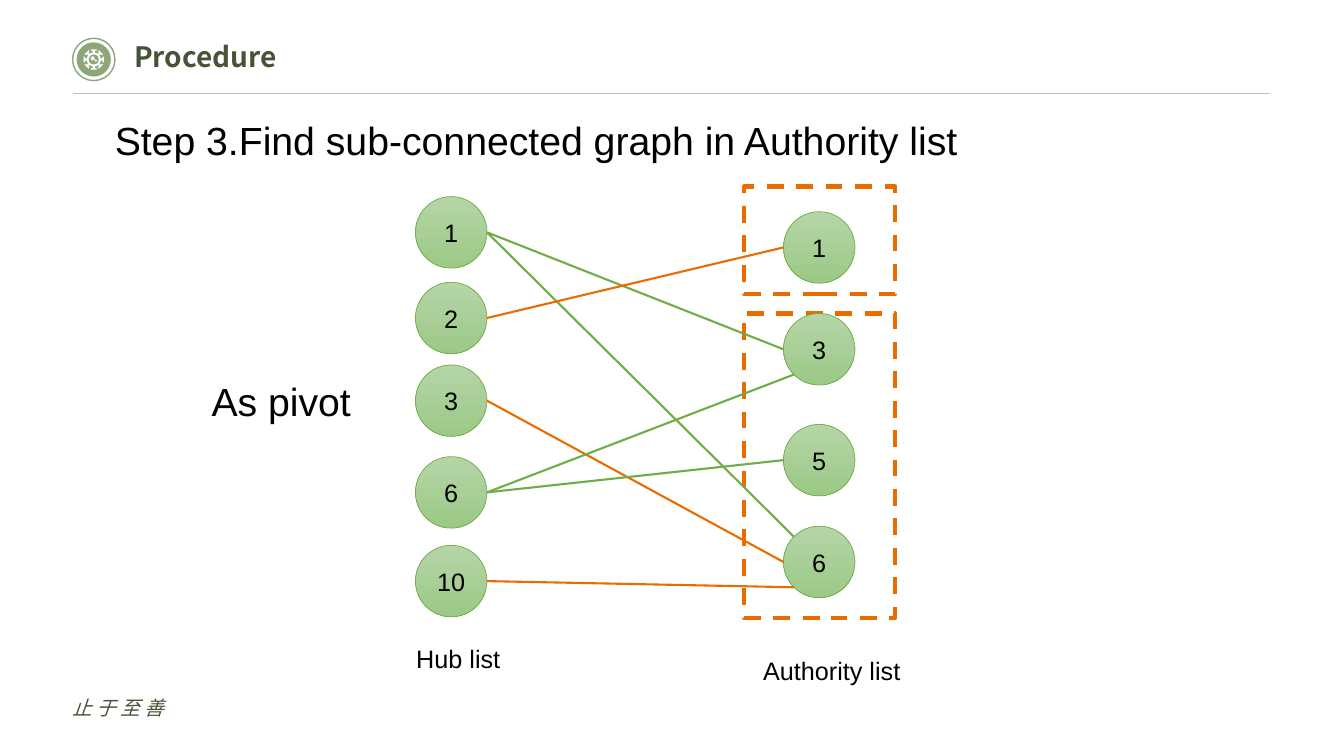
from dataclasses import dataclass
from math import cos, pi, sin

from pptx import Presentation
from pptx.dml.color import RGBColor
from pptx.enum.dml import MSO_LINE
from pptx.enum.shapes import MSO_CONNECTOR, MSO_SHAPE
from pptx.enum.text import MSO_ANCHOR, PP_ALIGN
from pptx.oxml.ns import qn
from pptx.util import Emu, Pt

ELLIPSE, RECTANGLE = MSO_SHAPE.OVAL, MSO_SHAPE.RECTANGLE
STRAIGHT, DASH = MSO_CONNECTOR.STRAIGHT, MSO_LINE.DASH
TOP, MIDDLE = MSO_ANCHOR.TOP, MSO_ANCHOR.MIDDLE
LEFT, CENTER = PP_ALIGN.LEFT, PP_ALIGN.CENTER
PX = 9144  # EMU in one px: 100 px to the inch


@dataclass(frozen=True)
class Theme:
    white: str = "FFFFFF"
    black: str = "000000"
    sage: str = "8DA778"
    dark_green: str = "445437"
    rule: str = "BFBFBF"
    green: str = "70AD47"
    orange: str = "EA6C00"
    node_top: str = "B5D5A7"
    node_bottom: str = "9CC987"
    font: str = "Arial"
    brand_font: str = "Noto Sans CJK SC"
    heading: int = 28
    title: int = 20
    label: int = 18
    motto: int = 14


THEME = Theme()
NODE = 71
HUB_LEFT, AUTHORITY_LEFT = 212, 577
HUB_TOPS = {1: 10, 2: 95, 3: 177, 6: 268, 10: 356}
AUTHORITY_TOPS = {1: 25, 3: 126, 5: 236, 6: 337}
# hub, authority, side of the authority node (-1 upper left, 0 left, 1 lower left), colour
LINKS = [
    (1, 3, 0, THEME.green),
    (1, 6, -1, THEME.green),
    (2, 1, 0, THEME.orange),
    (3, 6, 0, THEME.orange),
    (6, 3, 1, THEME.green),
    (6, 5, 0, THEME.green),
    (10, 6, 1, THEME.orange),
]


def px(length):
    return Emu(round(length * PX))


def rgb(code):
    return RGBColor.from_string(code)


def write(frame, text, size, color=THEME.black, font=THEME.font, align=LEFT, anchor=TOP,
          inset=10, bold=False, italic=False, tracking=0, line_spacing=None):
    frame.word_wrap = True
    frame.vertical_anchor = anchor
    frame.margin_left = px(inset)
    para = frame.paragraphs[0]
    para.alignment = align
    if line_spacing:
        para.line_spacing = line_spacing
    span = para.add_run()
    span.text = text
    span.font.size, span.font.name = Pt(size), font
    span.font.bold, span.font.italic = bold, italic
    span.font.color.rgb = rgb(color)
    props = span.font._element
    props.makeelement(qn("a:ea"))
    east_asian = props.makeelement(qn("a:ea"), {"typeface": font})
    props.find(qn("a:latin")).addnext(east_asian)
    if tracking:
        props.set("spc", str(tracking * 100))


def add_text(page, left, top, width, height, text, size, **style):
    box = page.shapes.add_textbox(px(left), px(top), px(width), px(height))
    write(box.text_frame, text, size, **style)


def add_figure(page, kind, left, top, width, height, fill=None, line=None, weight=1):
    figure = page.shapes.add_shape(kind, px(left), px(top), px(width), px(height))
    figure.shadow.inherit = False
    if fill:
        figure.fill.solid()
        figure.fill.fore_color.rgb = rgb(fill)
    else:
        figure.fill.background()
    if line:
        figure.line.color.rgb = rgb(line)
        figure.line.width = Pt(weight)
    else:
        figure.line.fill.background()
    return figure


def add_disc(page, x, y, radius, **style):
    return add_figure(page, ELLIPSE, x - radius, y - radius, 2 * radius, 2 * radius, **style)


def add_line(page, x1, y1, x2, y2, color, weight):
    line = page.shapes.add_connector(STRAIGHT, px(x1), px(y1), px(x2), px(y2))
    line.line.color.rgb = rgb(color)
    line.line.width = Pt(weight)
    props = line._element.spPr
    props.append(props.makeelement(qn("a:effectLst")))


def add_gear(page, x, y):
    """Eight capped teeth around a ring, centred on x, y."""
    tooth = [(7, -12), (7, -8), (9, -8), (9, -18), (10.5, -16),
             (10.5, 16), (9, 18), (9, 8), (7, 8), (7, 12)]  # radius, degrees
    outline = []
    for number in range(8):
        for radius, degrees in tooth:
            angle = number * pi / 4 + degrees * pi / 180
            outline.append((x + radius * cos(angle), y + radius * sin(angle)))
    points = [(px(a), px(b)) for a, b in outline]
    builder = page.shapes.build_freeform(*points[0])
    builder.add_line_segments(points[1:], close=True)
    gear = builder.convert_to_shape()
    gear.shadow.inherit = False
    gear.fill.solid()
    gear.fill.fore_color.rgb = rgb(THEME.white)
    gear.line.fill.background()
    add_disc(page, x, y, 5, fill=THEME.sage)
    add_disc(page, x - 1, y - 1, 2, fill=THEME.white)
    add_disc(page, x + 2, y + 1, 1, fill=THEME.white)


def add_header(page, left, top, width, title):
    x, y = left + 21, top + 21
    add_disc(page, x, y, 21, line=THEME.sage)
    add_disc(page, x, y, 17, fill=THEME.sage)
    add_gear(page, x, y)
    add_line(page, left, top + 55, left + width, top + 55, THEME.rule, 0.5)
    add_text(page, left + 61, top, 976, 44, title, THEME.title, color=THEME.dark_green,
             font=THEME.brand_font, bold=True, inset=0, line_spacing=0.9)


def add_footer(page, left, top, width, height, motto):
    add_text(page, left, top, width, height, motto, THEME.motto, color=THEME.dark_green,
             font=THEME.brand_font, italic=True, inset=0, anchor=MIDDLE, tracking=3)


def add_node(page, left, top, number):
    node = add_figure(page, ELLIPSE, left, top, NODE, NODE, line=THEME.green, weight=0.5)
    node.fill.gradient()
    node.fill.gradient_angle = 270
    for stop, color in zip(node.fill.gradient_stops, (THEME.node_top, THEME.node_bottom)):
        stop.color.rgb = rgb(color)
    write(node.text_frame, str(number), THEME.label, align=CENTER, anchor=MIDDLE)


def add_graph(page, left, top):
    """Hub and authority nodes, their links, the dashed groups and the captions."""
    for offset, height in ((126, 302), (0, 107)):
        group = add_figure(page, RECTANGLE, left + 538, top + offset, 150, height,
                           fill=THEME.white, line=THEME.orange, weight=3)
        group.line.dash_style = DASH
    for column, tops in ((HUB_LEFT, HUB_TOPS), (AUTHORITY_LEFT, AUTHORITY_TOPS)):
        for number, offset in tops.items():
            add_node(page, left + column, top + offset, number)
    radius = NODE / 2
    diagonal = radius * cos(pi / 4)
    for hub, authority, side, color in LINKS:
        reach = diagonal if side else radius
        add_line(page, left + HUB_LEFT + NODE, top + HUB_TOPS[hub] + radius,
                 left + AUTHORITY_LEFT + radius - reach,
                 top + AUTHORITY_TOPS[authority] + radius + side * diagonal, color, 1.5)
    add_text(page, left + 203, top + 448, 161, 40, "Hub list", THEME.label)
    add_text(page, left + 547, top + 460, 161, 40, "Authority list", THEME.label)
    add_text(page, left, top + 184, 194, 57, "As pivot", THEME.heading)


def main():
    deck = Presentation()
    deck.slide_width, deck.slide_height = px(1333), px(750)
    page = deck.slides.add_slide(deck.slide_layouts[6])
    add_header(page, 72, 38, 1188, "Procedure")
    add_footer(page, 72, 682, 366, 40, "止于至善")
    add_text(page, 104, 110, 1005, 57, "Step 3.Find sub-connected graph in Authority list",
             THEME.heading)
    add_graph(page, 200, 185)
    deck.save("out.pptx")


if __name__ == "__main__":
    main()
